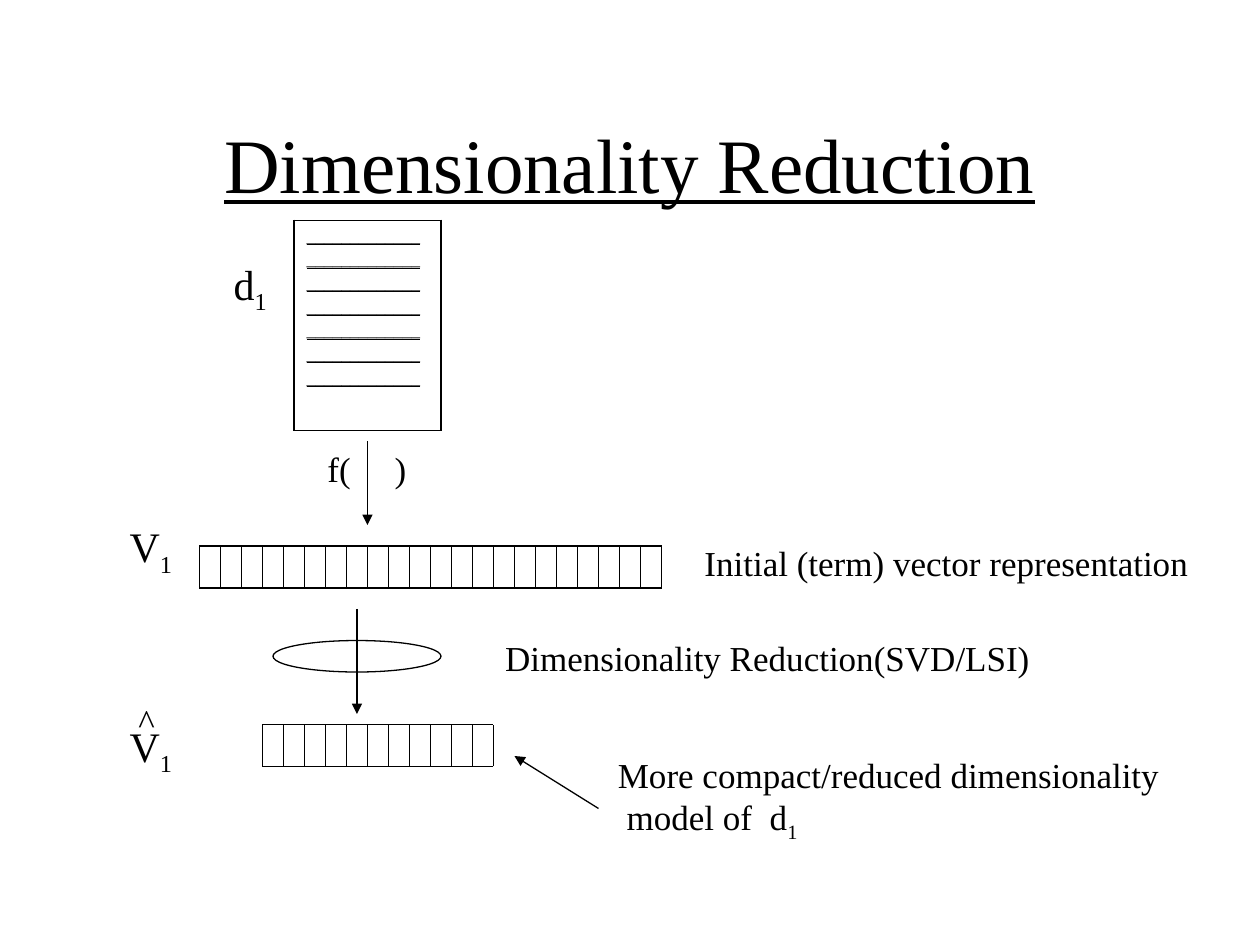
from lxml.etree import SubElement
from pptx import Presentation
from pptx.dml.color import RGBColor
from pptx.enum.shapes import MSO_CONNECTOR, MSO_SHAPE
from pptx.enum.text import MSO_ANCHOR, MSO_AUTO_SIZE, PP_ALIGN
from pptx.oxml.ns import qn
from pptx.util import Pt

COLORS = {"ink": "000000"}
FONT = "Times New Roman"
LINE_WIDTH = 0.75
CELL_WIDTH, CELL_HEIGHT = 12, 24


class Sketch:
    """Holds the drawing style and the slide being drawn."""

    def __init__(self, slide):
        self.slide = slide
        self.ink = RGBColor.from_string(COLORS["ink"])

    def format_run(self, run, size, underline=None):
        run.font.name = FONT
        run.font.size = Pt(size)
        run.font.underline = underline
        run.font.color.rgb = self.ink

    def label(self, left, top, width, height, text, size=20, subscript=""):
        """Add unwrapped text; the subscript follows its last line."""
        box = self.slide.shapes.add_textbox(Pt(left), Pt(top), Pt(width), Pt(height))
        frame = box.text_frame
        frame.text = text
        frame.word_wrap = False
        frame.auto_size = MSO_AUTO_SIZE.SHAPE_TO_FIT_TEXT
        for paragraph in frame.paragraphs:
            self.format_run(paragraph.runs[0], size)
        if subscript:
            index = frame.paragraphs[-1].add_run()
            index.text = subscript
            self.format_run(index, size)
            index.font._element.set("baseline", "-25000")
        return frame

    def title(self, left, top, width, height, text):
        frame = self.label(left, top, width, height, text, 44)
        frame.word_wrap = True
        frame.auto_size = MSO_AUTO_SIZE.NONE
        frame.vertical_anchor = MSO_ANCHOR.MIDDLE
        frame.paragraphs[0].alignment = PP_ALIGN.CENTER
        frame.paragraphs[0].runs[0].font.underline = True

    def line(self, x1, y1, x2, y2, shapes=None):
        shapes = self.slide.shapes if shapes is None else shapes
        connector = shapes.add_connector(
            MSO_CONNECTOR.STRAIGHT, Pt(x1), Pt(y1), Pt(x2), Pt(y2))
        connector.line.width = Pt(LINE_WIDTH)
        connector.line.color.rgb = self.ink
        SubElement(connector._element.spPr, qn("a:effectLst"))
        return connector

    def arrow(self, x1, y1, x2, y2):
        connector = self.line(x1, y1, x2, y2)
        SubElement(connector.line._get_or_add_ln(), qn("a:tailEnd"), type="triangle")

    def vector(self, left, top, cells):
        """Draw a grouped row of equal cells."""
        shapes = self.slide.shapes.add_group_shape().shapes
        right, bottom = left + cells * CELL_WIDTH, top + CELL_HEIGHT
        for y in (bottom, top):
            self.line(left, y, right, y, shapes)
        for step in range(cells + 1):
            x = left + step * CELL_WIDTH
            self.line(x, bottom, x, top, shapes)

    def ellipse(self, left, top, width, height):
        oval = self.slide.shapes.add_shape(
            MSO_SHAPE.OVAL, Pt(left), Pt(top), Pt(width), Pt(height))
        oval.shadow.inherit = False
        oval.fill.background()
        oval.line.width = Pt(LINE_WIDTH)
        oval.line.color.rgb = self.ink

    def document(self, left, top, width, height, rows):
        """Draw a page as a one-cell table filled with ruled text lines."""
        table = self.slide.shapes.add_table(
            1, 1, Pt(left), Pt(top), Pt(width), Pt(height)).table
        table.first_row = table.horz_banding = False
        page = table.cell(0, 0)
        page.text_frame.text = "\n".join(["_" * 13] * rows)
        for paragraph in page.text_frame.paragraphs:
            paragraph.space_before = Pt(2.5)
            self.format_run(paragraph.runs[0], 10, underline=True)
        properties = page._tc.get_or_add_tcPr()
        for side in ("a:lnL", "a:lnR", "a:lnT", "a:lnB"):
            border = SubElement(properties, qn(side), w=str(Pt(1.08)))
            fill = SubElement(border, qn("a:solidFill"))
            SubElement(fill, qn("a:srgbClr"), val=COLORS["ink"])
        page.fill.background()


def main():
    deck = Presentation()
    deck.slide_width, deck.slide_height = Pt(720), Pt(540)
    sketch = Sketch(deck.slides.add_slide(deck.slide_layouts[6]))

    sketch.title(54, 48, 612, 90, "Dimensionality Reduction")
    sketch.label(126.5, 144, 36, 40, "d", 24, subscript="1")

    sketch.arrow(210, 252, 210, 300)
    function = sketch.label(180, 252, 63, 32, "f(\t)")
    tabs = SubElement(function.paragraphs[0]._p.get_or_add_pPr(), qn("a:tabLst"))
    SubElement(tabs, qn("a:tab"), pos=str(Pt(38.4)), algn="l")

    sketch.label(67, 294, 41, 40, "V", 24, subscript="1")
    sketch.vector(150, 414, cells=11)
    sketch.vector(114, 312, cells=22)
    sketch.label(67, 408, 41, 40, "V", 24, subscript="1")
    sketch.label(72, 396, 26, 32, "^")

    sketch.arrow(204, 348, 204, 408)
    sketch.ellipse(156, 366, 96, 18)
    sketch.label(281.5, 360, 317, 32, "Dimensionality Reduction(SVD/LSI)")
    sketch.label(395.5, 306, 294, 32, "Initial (term) vector representation")

    model = sketch.label(
        346, 427, 327, 59,
        "More compact/reduced dimensionality\nmodel of  d", subscript="1")
    model.paragraphs[1]._p.get_or_add_pPr().set("marL", str(Pt(5)))
    sketch.arrow(342, 462, 294, 432)

    sketch.document(168, 126, 84, 120, rows=7)
    deck.save("out.pptx")


if __name__ == "__main__":
    main()
